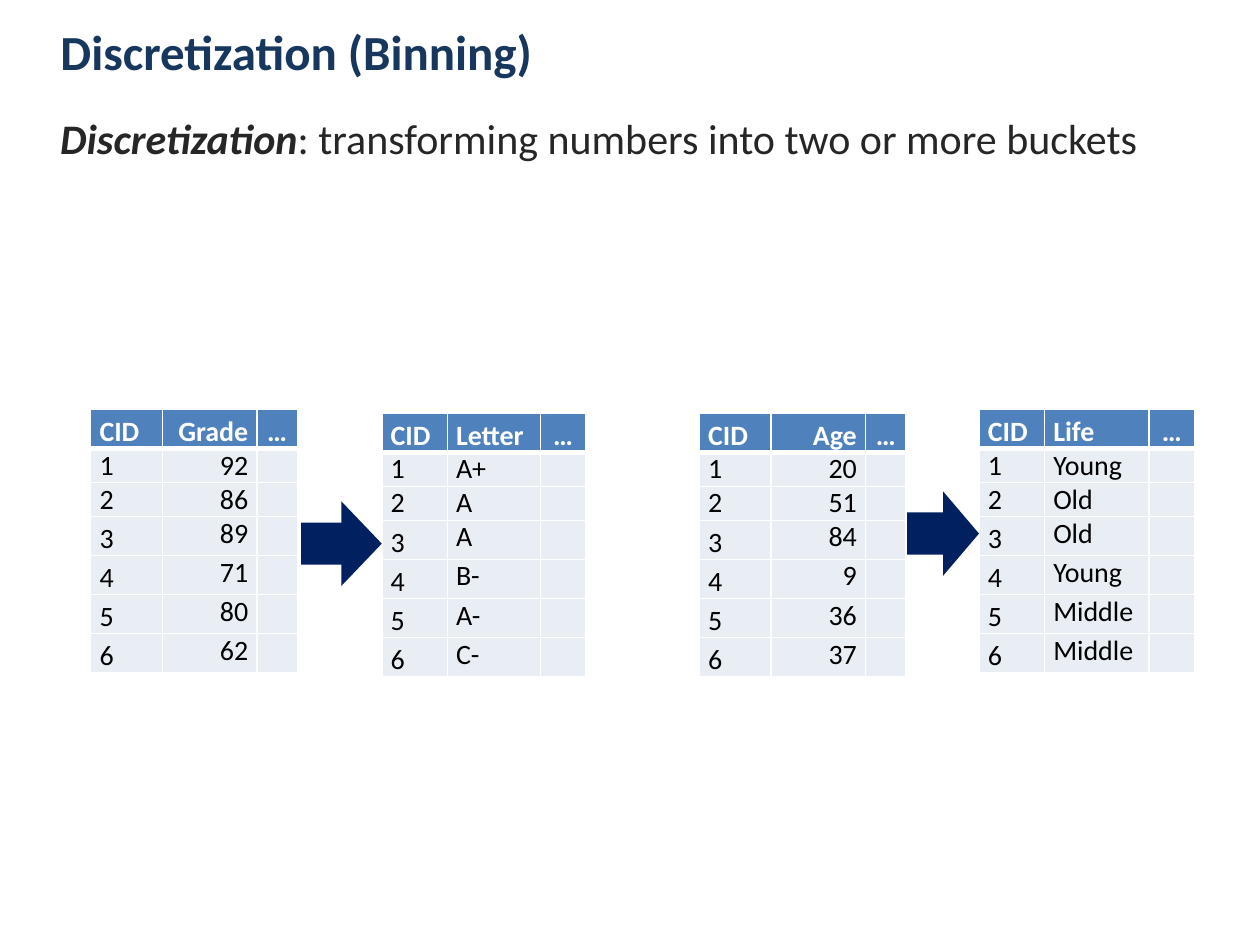
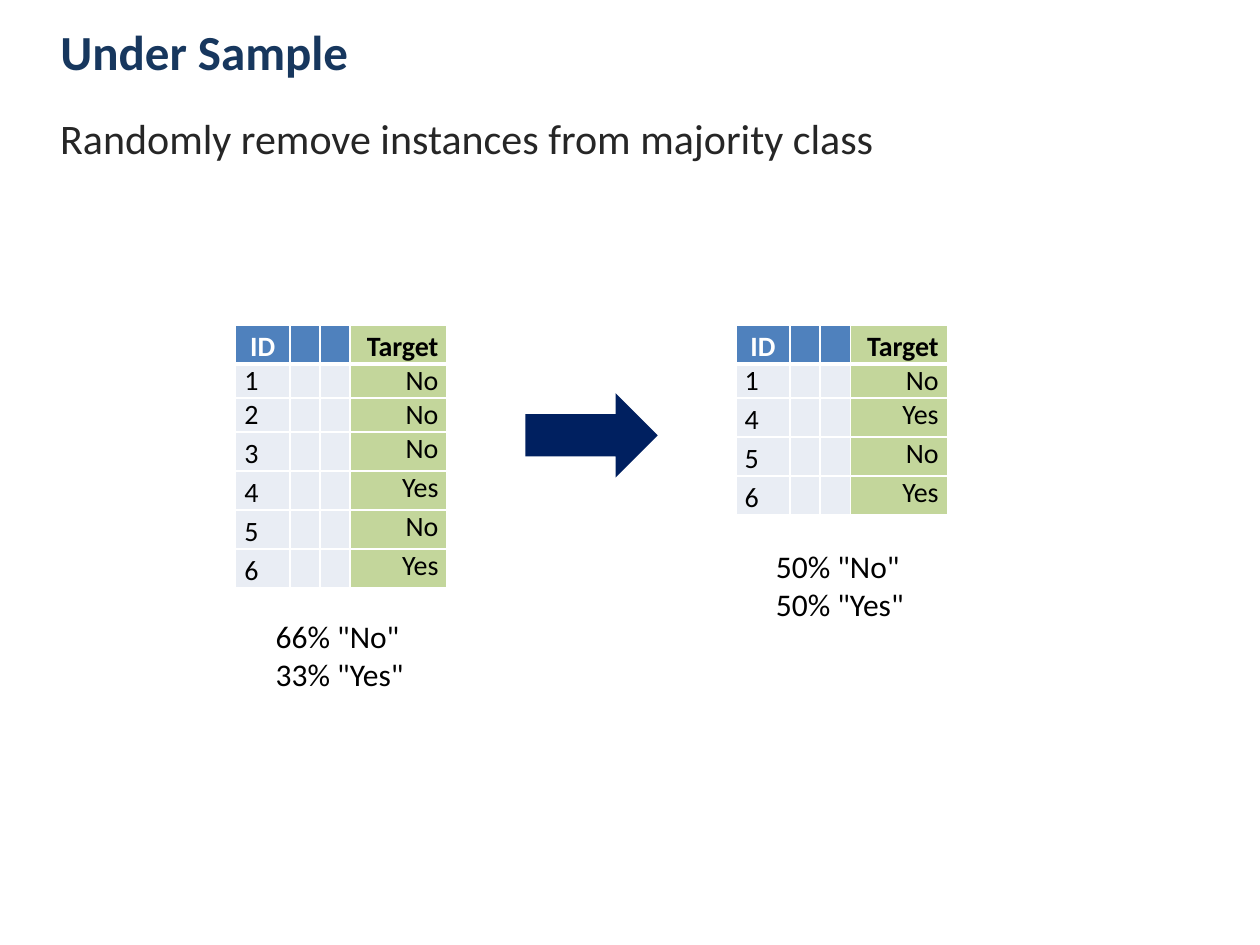
from dataclasses import dataclass

from lxml import etree
from pptx import Presentation
from pptx.dml.color import RGBColor
from pptx.enum.shapes import MSO_SHAPE
from pptx.enum.text import MSO_ANCHOR, MSO_AUTO_SIZE, PP_ALIGN
from pptx.oxml.ns import qn
from pptx.util import Pt

LEFT, CENTER, RIGHT = PP_ALIGN.LEFT, PP_ALIGN.CENTER, PP_ALIGN.RIGHT
TOP, MIDDLE = MSO_ANCHOR.TOP, MSO_ANCHOR.MIDDLE
NO_AUTOFIT = MSO_AUTO_SIZE.NONE
RIGHT_ARROW = MSO_SHAPE.RIGHT_ARROW

# Shared look
EMU_PER_PX = 9144  # 100 px to the inch
FONT = "Calibri"
COLORS = {
    "title": "17375E",
    "body": "262626",
    "text": "000000",
    "white": "FFFFFF",
    "header": "4F81BD",
    "cell": "E9EDF4",
    "target": "C3D69B",
    "arrow": "002060",
}
TITLE_ONLY_LAYOUT = 5
CELL_SIZE = 16
WIDE_SPACING = 1.15
WIDE_ROW, TIGHT_ROW = 31, 27
TIGHT_IDS = ("1", "2")
CELL_MARGIN = 7


@dataclass(frozen=True)
class Box:
    left: int
    top: int
    width: int
    height: int


@dataclass(frozen=True)
class Column:
    width: int
    header: str = ""
    values: str = ""  # separated by blanks
    align: PP_ALIGN = LEFT
    header_align: PP_ALIGN = LEFT
    is_target: bool = False


@dataclass(frozen=True)
class DataTable:
    left: int
    top: int
    columns: tuple[Column, ...]


@dataclass(frozen=True)
class Caption:
    box: Box
    lines: tuple[str, ...]


TITLE_BOX = Box(38, 5, 820, 71)
BODY_BOX = Box(38, 84, 924, 106)


def px(length: int) -> int:
    return length * EMU_PER_PX


def place(box: Box) -> tuple[int, int, int, int]:
    return px(box.left), px(box.top), px(box.width), px(box.height)


def color(name: str) -> RGBColor:
    return RGBColor.from_string(COLORS[name])


def write(paragraph, text: str, *, size: int, color_name: str = "text",
          bold: bool = False, italic: bool = False, align: PP_ALIGN = LEFT,
          spacing: float | None = None) -> None:
    """Append formatted text to a paragraph."""
    paragraph.alignment = align
    if spacing:
        paragraph.line_spacing = spacing
    if not text:
        # An empty paragraph takes its height from its end mark
        etree.SubElement(paragraph._p, qn("a:endParaRPr"), sz=str(size * 100))
        return
    run = paragraph.add_run()
    run.text = text
    font = run.font
    font.name, font.size = FONT, Pt(size)
    font.bold, font.italic = bold, italic
    font.color.rgb = color(color_name)


def add_text_box(slide, box: Box):
    text_frame = slide.shapes.add_textbox(*place(box)).text_frame
    text_frame.word_wrap = True
    return text_frame


def add_titled_slide(presentation, title: str, body: str, term: str = ""):
    """Add a slide with its title and a statement that may open with a term."""
    slide = presentation.slides.add_slide(presentation.slide_layouts[TITLE_ONLY_LAYOUT])
    shape = slide.shapes.title
    shape.left, shape.top, shape.width, shape.height = place(TITLE_BOX)
    text_frame = shape.text_frame
    text_frame.auto_size = NO_AUTOFIT
    text_frame.vertical_anchor = MIDDLE
    write(text_frame.paragraphs[0], title, size=28, color_name="title", bold=True)

    paragraph = add_text_box(slide, BODY_BOX).paragraphs[0]
    if term:
        write(paragraph, term, size=24, color_name="body", bold=True, italic=True)
    write(paragraph, body, size=24, color_name="body")
    return slide


def set_borders(cell, is_header: bool) -> None:
    properties = cell._tc.get_or_add_tcPr()
    for side in "LRTB":
        width = Pt(3 if is_header and side == "B" else 1)
        line = etree.SubElement(properties, qn(f"a:ln{side}"), w=str(width))
        fill = etree.SubElement(line, qn("a:solidFill"))
        etree.SubElement(fill, qn("a:srgbClr"), val=COLORS["white"])


def fill_cell(cell, column: Column, text: str, *, is_header: bool,
              is_id: bool) -> None:
    set_borders(cell, is_header)
    fill_name = "target" if column.is_target else "header" if is_header else "cell"
    cell.fill.solid()
    cell.fill.fore_color.rgb = color(fill_name)
    cell.margin_left = cell.margin_right = px(CELL_MARGIN)
    cell.margin_top = cell.margin_bottom = 0
    cell.vertical_anchor = MIDDLE if is_header or is_id else TOP
    is_wide = is_header or (is_id and text not in TIGHT_IDS)
    write(
        cell.text_frame.paragraphs[0], text, size=CELL_SIZE, bold=is_header,
        color_name="white" if is_header and not column.is_target else "text",
        align=column.header_align if is_header else column.align,
        spacing=WIDE_SPACING if is_wide and text else None,
    )


def add_data_table(slide, data: DataTable) -> None:
    """Draw a table whose first column holds the row ids."""
    ids = data.columns[0].values.split()
    heights = [WIDE_ROW] + [TIGHT_ROW if i in TIGHT_IDS else WIDE_ROW for i in ids]
    box = Box(data.left, data.top, sum(c.width for c in data.columns), sum(heights))
    table = slide.shapes.add_table(len(heights), len(data.columns), *place(box)).table
    table.horz_banding = False
    for row, height in zip(table.rows, heights):
        row.height = px(height)
    for column_index, column in enumerate(data.columns):
        table.columns[column_index].width = px(column.width)
        values = column.values.split() or [""] * len(ids)
        for row_index, text in enumerate([column.header, *values]):
            fill_cell(table.cell(row_index, column_index), column, text,
                      is_header=row_index == 0, is_id=column_index == 0)


def add_arrow(slide, box: Box) -> None:
    shape = slide.shapes.add_shape(RIGHT_ARROW, *place(box))
    shape.shadow.inherit = False
    shape.fill.solid()
    shape.fill.fore_color.rgb = color("arrow")
    shape.line.fill.background()


def add_caption(slide, caption: Caption) -> None:
    text_frame = add_text_box(slide, caption.box)
    for index, line in enumerate(caption.lines):
        paragraph = text_frame.add_paragraph() if index else text_frame.paragraphs[0]
        write(paragraph, line, size=18)


# Discretization tables: numbers on the left of an arrow, buckets on the right
def number_table(left: int, top: int, header: str, values: str) -> DataTable:
    return DataTable(left, top, (
        Column(57, "CID", "1 2 3 4 5 6"),
        Column(75, header, values, RIGHT, RIGHT),
        Column(32, "…", header_align=CENTER),
    ))


def bucket_table(left: int, top: int, width: int, header: str, values: str) -> DataTable:
    return DataTable(left, top, (
        Column(52, "CID", "1 2 3 4 5 6"),
        Column(width, header, values),
        Column(36, "…", header_align=CENTER),
    ))


# Sampling tables: ids, two blank features and the target
def sample_table(left: int, ids: str, targets: str) -> DataTable:
    return DataTable(left, 258, (
        Column(43, "ID", ids, header_align=CENTER),
        Column(24),
        Column(24),
        Column(77, "Target", targets, RIGHT, RIGHT, is_target=True),
    ))


BINNING_TABLES = (
    number_table(72, 325, "Grade", "92 86 89 71 80 62"),
    bucket_table(303, 328, 74, "Letter", "A+ A A B- A- C-"),
    number_table(555, 328, "Age", "20 51 84 9 36 37"),
    bucket_table(777, 325, 83, "Life", "Young Old Old Young Middle Middle"),
)
BINNING_ARROWS = (Box(239, 398, 64, 67), Box(720, 390, 57, 67))

SAMPLE_TABLES = (
    sample_table(187, "1 2 3 4 5 6", "No No No Yes No Yes"),
    sample_table(584, "1 4 5 6", "No Yes No Yes"),
)
SAMPLE_ARROWS = (Box(417, 312, 105, 67),)
SAMPLE_CAPTIONS = (
    Caption(Box(209, 485, 124, 71), ('66% "No"', '33% "Yes"')),
    Caption(Box(606, 429, 124, 71), ('50% "No"', '50% "Yes"')),
)


def add_content(slide, tables: tuple[DataTable, ...], arrows: tuple[Box, ...],
                captions: tuple[Caption, ...] = ()) -> None:
    for data in tables:
        add_data_table(slide, data)
    for box in arrows:
        add_arrow(slide, box)
    for caption in captions:
        add_caption(slide, caption)


def main() -> None:
    presentation = Presentation()
    presentation.slide_width, presentation.slide_height = px(1000), px(750)

    # Discretization
    slide = add_titled_slide(
        presentation, "Discretization (Binning)",
        ": transforming numbers into two or more buckets", term="Discretization")
    add_content(slide, BINNING_TABLES, BINNING_ARROWS)

    # Under sampling
    slide = add_titled_slide(
        presentation, "Under Sample", "Randomly remove instances from majority class")
    add_content(slide, SAMPLE_TABLES, SAMPLE_ARROWS, SAMPLE_CAPTIONS)

    presentation.save("out.pptx")


if __name__ == "__main__":
    main()
